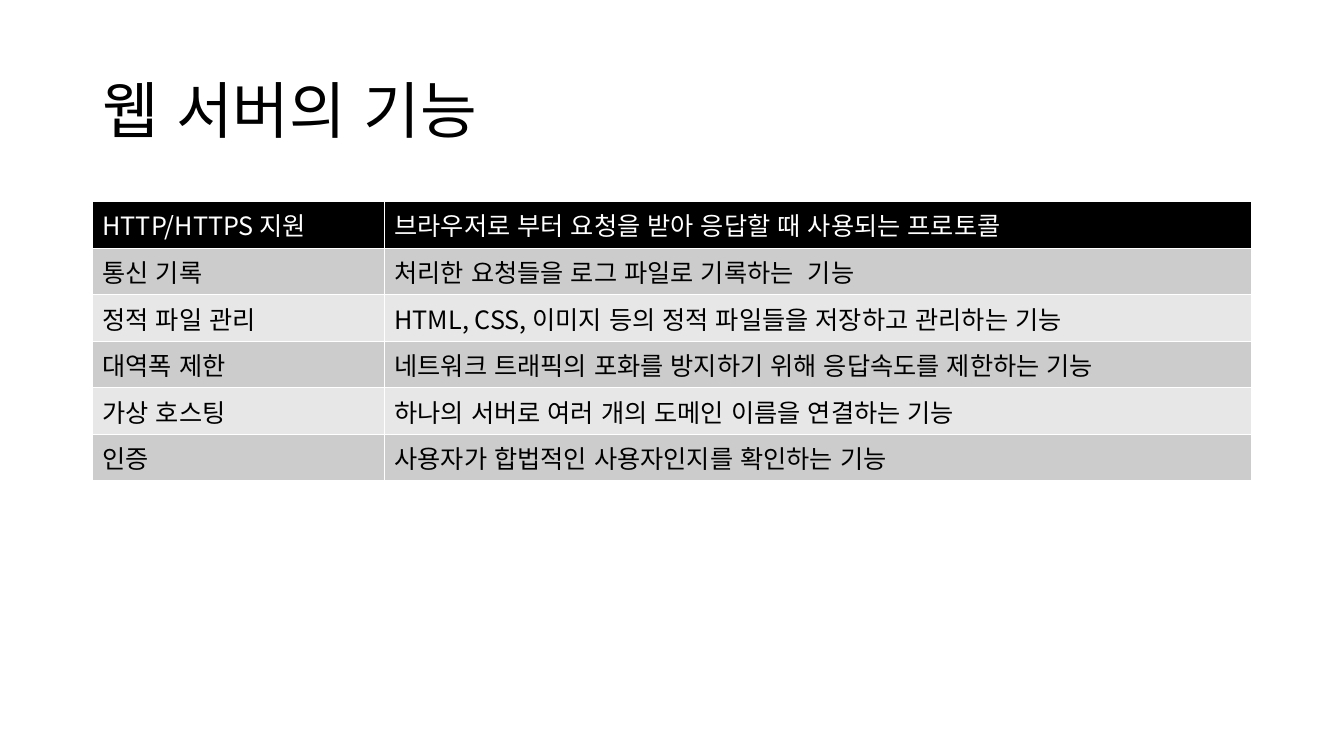
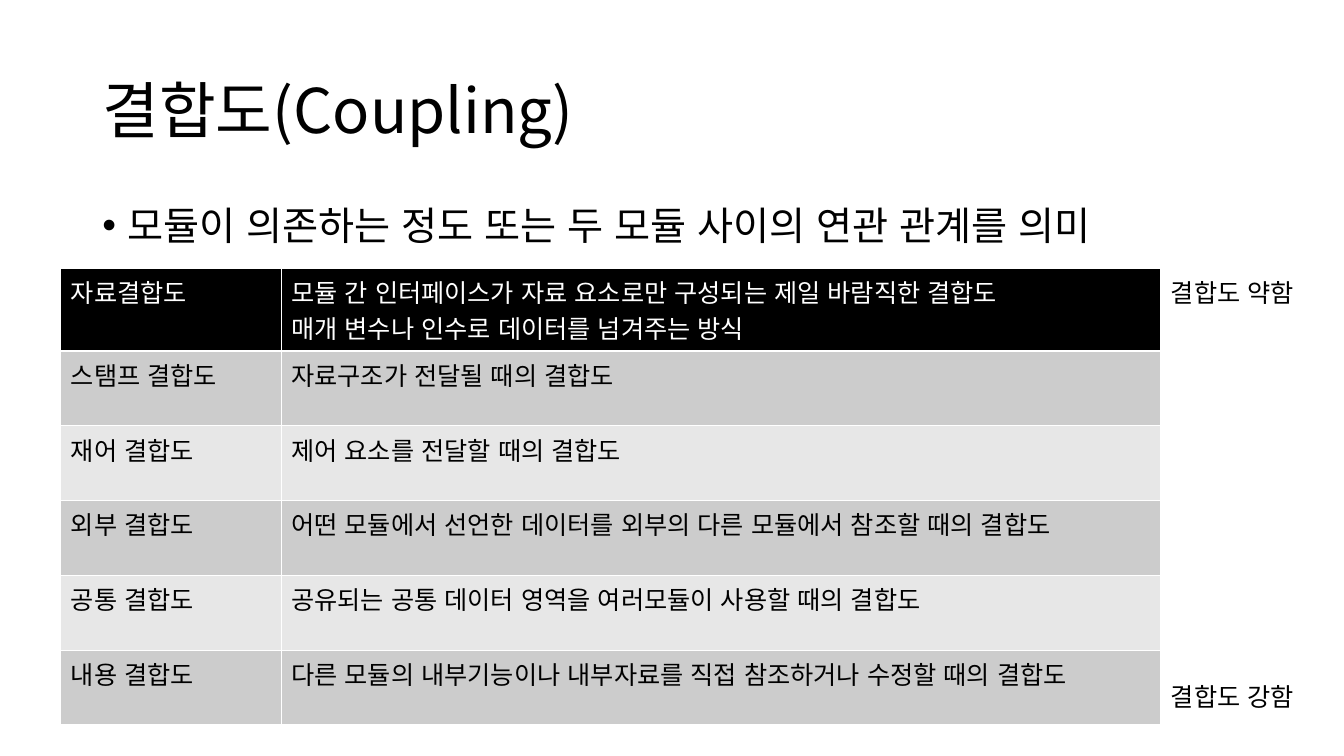
import lxml.etree
import pptx
import pptx.dml.color
import pptx.enum.lang
import pptx.enum.text
import pptx.oxml.ns
import pptx.util

# Theme: colours, type styles and the areas the slides share
face = "Noto Sans CJK KR"
tongue = pptx.enum.lang.MSO_LANGUAGE_ID.KOREAN
anchor = pptx.enum.text.MSO_ANCHOR
theme = {
    "black": "000000", "white": "FFFFFF", "bands": ["E7E7E7", "CCCCCC"],
    "title": {"size": 44, "lead": 0.9, "color": "000000"},
    "body": {"size": 28, "lead": 0.9, "color": "000000", "bullet": "•"},
    "head": {"size": 18, "lead": 1.0, "color": "FFFFFF"},
    "text": {"size": 18, "lead": 1.0, "color": "000000"},
    "rule": 1,
}
area = {"title": (6.88, 5.33, 86.25, 19.33), "body": (6.88, 26.67, 86.25, 63.47)}
qn = pptx.oxml.ns.qn
rgb = pptx.dml.color.RGBColor.from_string

deck = pptx.Presentation()
deck.slide_width = pptx.util.Inches(13.33)
deck.slide_height = pptx.util.Inches(7.5)
wide, high = deck.slide_width / 100, deck.slide_height / 100


def write(frame, text, style):
    """Fill a text frame, one paragraph a line."""
    frame.text = text
    for para in frame.paragraphs:
        para.line_spacing = style["lead"]
        if "bullet" in style:
            props = para._p.get_or_add_pPr()
            step = pptx.util.Inches(0.25)
            props.set("marL", str(step))
            props.set("indent", str(-step))
            lxml.etree.SubElement(props, qn("a:buFont")).set("typeface", "Arial")
            lxml.etree.SubElement(props, qn("a:buChar")).set("char", style["bullet"])
        for run in para.runs:
            look = {"size": pptx.util.Pt(style["size"]), "name": face,
                    "bold": False, "language_id": tongue}
            for key, value in look.items():
                setattr(run.font, key, value)
            run.font.color.rgb = rgb(style["color"])
            asian = lxml.etree.SubElement(run.font._element, qn("a:ea"))
            asian.set("typeface", face)


def label(slide, spot, text, style, pin=anchor.TOP):
    """Add a text box; spot is in percent of the slide."""
    x, y, w, h = spot
    box = slide.shapes.add_textbox(
        int(x * wide), int(y * high), int(w * wide), int(h * high))
    for key, value in {"word_wrap": True, "vertical_anchor": pin}.items():
        setattr(box.text_frame, key, value)
    write(box.text_frame, text, style)


# Content: places, columns and rows are in percent of the slide
pages = [
    {
        "title": "웹 서버의 기능",
        "spot": (6.88, 26.67), "cols": (21.72, 64.53), "head": 6.16, "row": 6.16,
        "rows": [
            ("HTTP/HTTPS 지원", "브라우저로 부터 요청을 받아 응답할 때 사용되는 프로토콜"),
            ("통신 기록", "처리한 요청들을 로그 파일로 기록하는  기능"),
            ("정적 파일 관리", "HTML, CSS, 이미지 등의 정적 파일들을 저장하고 관리하는 기능"),
            ("대역폭 제한", "네트워크 트래픽의 포화를 방지하기 위해 응답속도를 제한하는 기능"),
            ("가상 호스팅", "하나의 서버로 여러 개의 도메인 이름을 연결하는 기능"),
            ("인증", "사용자가 합법적인 사용자인지를 확인하는 기능"),
        ],
    },
    {
        "title": "결합도(Coupling)",
        "body": "모듈이 의존하는 정도 또는 두 모듈 사이의 연관 관계를 의미",
        "spot": (4.53, 35.47), "cols": (16.4, 65.45), "head": 10.97, "row": 9.89,
        "rows": [
            ("자료결합도", "모듈 간 인터페이스가 자료 요소로만 구성되는 제일 바람직한 결합도\n"
             "매개 변수나 인수로 데이터를 넘겨주는 방식"),
            ("스탬프 결합도", "자료구조가 전달될 때의 결합도"),
            ("재어 결합도", "제어 요소를 전달할 때의 결합도"),
            ("외부 결합도", "어떤 모듈에서 선언한 데이터를 외부의 다른 모듈에서 참조할 때의 결합도"),
            ("공통 결합도", "공유되는 공통 데이터 영역을 여러모듈이 사용할 때의 결합도"),
            ("내용 결합도", "다른 모듈의 내부기능이나 내부자료를 직접 참조하거나 수정할 때의 결합도"),
        ],
        "notes": [(36, "결합도 약함"), (89.47, "결합도 강함")],
    },
]

for page in pages:
    slide = deck.slides.add_slide(deck.slide_layouts[6])

    # Title and bullet
    label(slide, area["title"], page["title"], theme["title"], anchor.MIDDLE)
    if "body" in page:
        label(slide, area["body"], page["body"], theme["body"])

    # Table
    left, top = page["spot"]
    cols, rows = page["cols"], page["rows"]
    tall = [page["head"]] + [page["row"]] * (len(rows) - 1)
    table = slide.shapes.add_table(
        len(rows), len(cols), int(left * wide), int(top * high),
        int(sum(cols) * wide), int(sum(tall) * high)).table
    for key in ("first_row", "horz_banding"):
        setattr(table, key, False)
    for col, share in zip(table.columns, cols):
        col.width = int(share * wide)
    for line, share in zip(table.rows, tall):
        line.height = int(share * high)
    for r, row in enumerate(rows):
        fill = theme["bands"][r % 2] if r else theme["black"]
        for c, text in enumerate(row):
            cell = table.cell(r, c)
            write(cell.text_frame, text, theme["text" if r else "head"])
            # Cell borders come before the fill
            props = cell._tc.get_or_add_tcPr()
            for side in ("a:lnL", "a:lnR", "a:lnT", "a:lnB"):
                edge = lxml.etree.SubElement(props, qn(side))
                edge.set("w", str(pptx.util.Pt(theme["rule"])))
                solid = lxml.etree.SubElement(edge, qn("a:solidFill"))
                lxml.etree.SubElement(solid, qn("a:srgbClr")).set("val", theme["white"])
            cell.fill.solid()
            cell.fill.fore_color.rgb = rgb(fill)

    # Labels to the right of the table
    right = left + sum(cols)
    for y, text in page.get("notes", []):
        label(slide, (right, y, 100 - right, 5.33), text, theme["text"])

deck.save("out.pptx")
